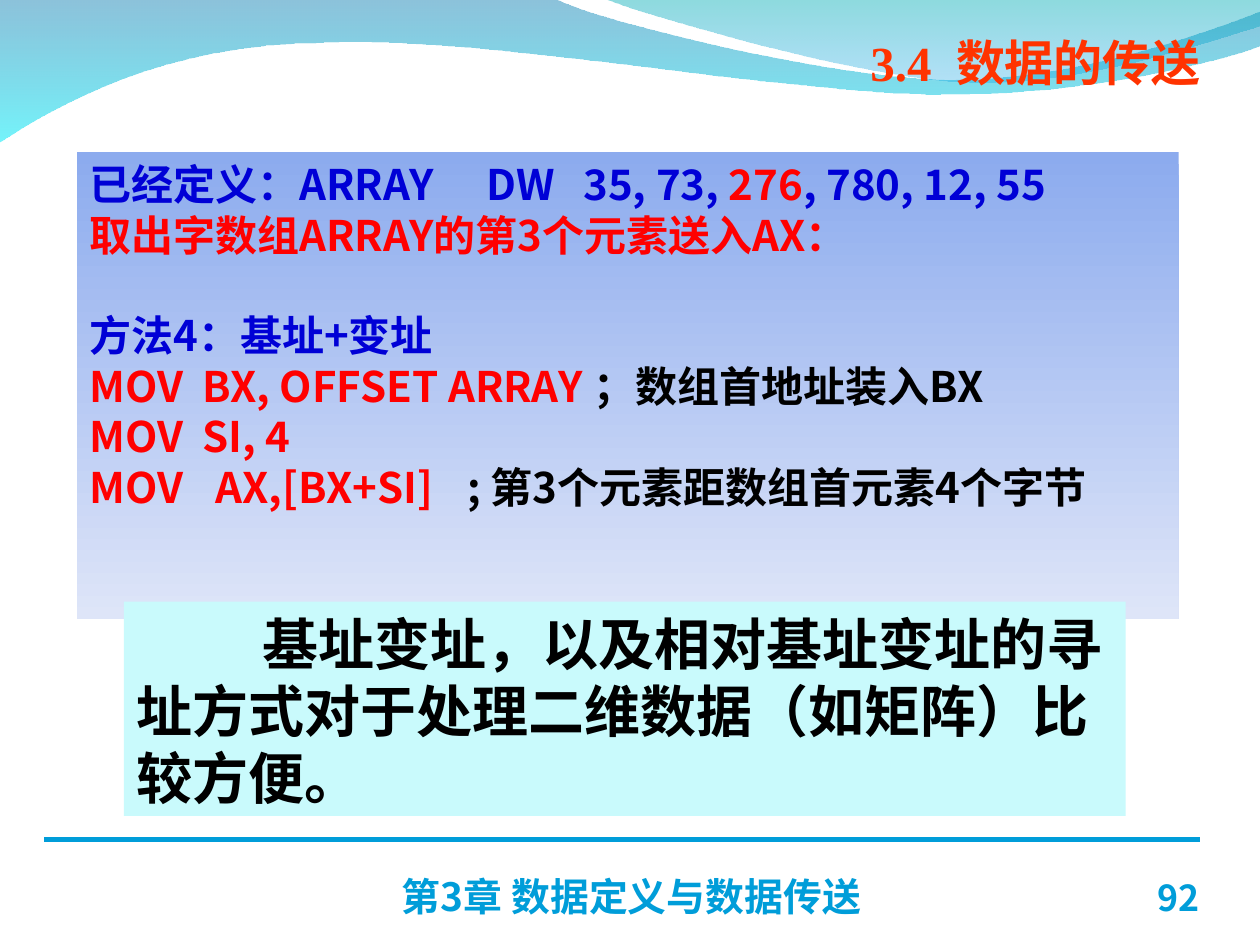
import pptx
import pptx.util
import pptx.dml.color
import pptx.enum.shapes
import pptx.enum.text
import pptx.oxml.ns
import lxml.etree

Pt = pptx.util.Pt
ALIGN = pptx.enum.text.PP_ALIGN
ANCHOR = pptx.enum.text.MSO_ANCHOR
SHAPE = pptx.enum.shapes.MSO_SHAPE
qn = pptx.oxml.ns.qn

COLORS = {
    "blue": "0000D6", "red": "FF0000", "black": "000000",
    "title": "FF3300", "footer": "009DD9", "note": "C9FAFC",
    "panel_top": "8CABEE", "panel_bottom": "DEE5F8",
    "wave_top": "0079AF", "wave_bottom": "00EBF8",
    "crest_top": "00ADB6", "crest_bottom": "009BE5",
}
SANS = "Noto Sans CJK SC"
FOOTER_FONT = "Noto Sans CJK JP"
SERIF = "Times New Roman"
INSETS = (7.2, 3.6, 7.2, 3.6)

WAVE = [
    (0.7, 0), (317.5, 0),
    (343.4, 13, 478.8, 46.1, 546.5, 46.1),
    (614.9, 46.1, 690.5, 19.4, 720.7, 7.2),
    (721.4, 26.6),
    (708.5, 32.4, 627.1, 55.4, 537.8, 54.7),
    (448.6, 54.7, 275.8, 20.9, 185.8, 25.2),
    (93.6, 25.9, 33.8, 60.5, 0, 82.1),
]
CREST = [
    (0, 0),
    (21.6, 8.6, 146.2, 45.4, 208.8, 47.5),
    (271.4, 50.4, 347, 23.8, 375.1, 15.8),
    (375.1, 0.7),
]
CODE_LINES = [
    [("已经定义：ARRAY\t  DW   35, 73, ", "blue"), ("276", "red"),
     (", 780, 12, 55", "blue")],
    [("取出字数组ARRAY的第3个元素送入AX：", "red")],
    [("方法4：基址+变址", "blue")],
    [("MOV  BX, OFFSET ARRAY\t", "red"), ("；数组首地址装入BX", "black")],
    [("MOV  SI, 4", "red")],
    [("MOV\tAX,[BX+SI]\t", "red"), ("; 第3个元素距数组首元素4个字节", "black")],
]
METHOD_LINE = 2
CODE_PITCH = 28.8


def rgb(name):
    return pptx.dml.color.RGBColor.from_string(COLORS[name])


def shade(shape, names, alphas=(100, 100)):
    shape.shadow.inherit = False
    shape.line.fill.background()
    shape.fill.gradient()
    shape.fill.gradient_angle = 270
    for stop, name in zip(shape.fill.gradient_stops, names):
        stop.color.rgb = rgb(name)
    for color, alpha in zip(shape.element.spPr.iter(qn("a:srgbClr")), alphas):
        if alpha < 100:
            lxml.etree.SubElement(color, qn("a:alpha"), val=str(alpha * 1000))


def set_frame(shape, insets=INSETS, anchor=ANCHOR.TOP):
    frame = shape.text_frame
    frame.word_wrap = True
    frame.vertical_anchor = anchor
    frame.margin_left, frame.margin_top, frame.margin_right, frame.margin_bottom = map(Pt, insets)
    return frame


def set_tabs(para):
    tabs = lxml.etree.SubElement(para._p.get_or_add_pPr(), qn("a:tabLst"))
    for inch in range(8):
        lxml.etree.SubElement(tabs, qn("a:tab"), pos=str(Pt(72 * inch)), algn="l")


def set_font(para, size, latin, asian=SANS, color=None):
    font = para.font
    font.size = Pt(size)
    font.bold = True
    font.name = latin
    if color:
        font.color.rgb = rgb(color)
    latin_element = font._element.find(qn("a:latin"))
    latin_element.addnext(latin_element.makeelement(qn("a:ea"), {"typeface": asian}))


def bend_lines(shape, segments):
    lines = iter(list(shape.element.spPr.iter(qn("a:lnTo"))))
    for segment in segments[1:]:
        corners = [next(lines) for _ in range(len(segment) // 2)]
        if len(corners) == 3:
            curve = corners[0].makeelement(qn("a:cubicBezTo"), {})
            corners[0].addprevious(curve)
            for corner in corners:
                curve.append(corner[0])
                corner.getparent().remove(corner)


def add_wave(page, left, top, segments, names, alphas):
    points = [(Pt(left + x), Pt(top + y)) for segment in segments
              for x, y in zip(segment[::2], segment[1::2])]
    builder = page.shapes.build_freeform(*points[0])
    builder.add_line_segments(points[1:], close=False)
    wave = builder.convert_to_shape()
    bend_lines(wave, segments)
    outline = next(wave.element.spPr.iter(qn("a:path")))
    lxml.etree.SubElement(outline, qn("a:close"))
    shade(wave, names, alphas)


def add_label(page, box, text, size, latin, color, asian=SANS,
              insets=INSETS, anchor=ANCHOR.TOP, align=ALIGN.LEFT, spacing=1.0):
    label = page.shapes.add_textbox(*map(Pt, box))
    para = set_frame(label, insets, anchor).paragraphs[0]
    para.text = text
    para.alignment = align
    para.line_spacing = spacing
    set_font(para, size, latin, asian, color)


def add_code_panel(page, box):
    panel = page.shapes.add_shape(SHAPE.RECTANGLE, *map(Pt, box))
    shade(panel, ("panel_top", "panel_bottom"))
    frame = set_frame(panel)
    for index, pieces in enumerate(CODE_LINES):
        para = frame.add_paragraph() if index else frame.paragraphs[0]
        para.alignment = ALIGN.JUSTIFY
        para.line_spacing = Pt(CODE_PITCH)
        if index == METHOD_LINE:
            para.space_before = Pt(CODE_PITCH)
        set_tabs(para)
        set_font(para, 24, SANS)
        for text, color in pieces:
            span = para.add_run()
            span.text = text
            span.font.color.rgb = rgb(color)


def add_note(page, box):
    note = page.shapes.add_shape(SHAPE.RECTANGLE, *map(Pt, box))
    note.shadow.inherit = False
    note.fill.solid()
    note.fill.fore_color.rgb = rgb("note")
    note.line.fill.background()
    para = set_frame(note, (7.2, 4.8, 7.2, 3.6)).paragraphs[0]
    para.text = "\t基址变址，以及相对基址变址的寻址方式对于处理二维数据（如矩阵）比较方便。"
    para.alignment = ALIGN.LEFT
    para.line_spacing = Pt(38.2)
    set_tabs(para)
    set_font(para, 32, SERIF, color="black")


def add_footer(page, left, top, width):
    rule = page.shapes.add_connector(
        pptx.enum.shapes.MSO_CONNECTOR.STRAIGHT,
        Pt(left), Pt(top), Pt(left + width), Pt(top))
    rule.line.color.rgb = rgb("footer")
    rule.line.width = Pt(3)
    lxml.etree.SubElement(rule._element.spPr, qn("a:effectLst"))
    style = dict(latin=FOOTER_FONT, asian=FOOTER_FONT, color="footer",
                 insets=(0, 0, 0, 0), anchor=ANCHOR.BOTTOM, spacing=0.9)
    add_label(page, (left + 204.3, top + 17.1, 323.3, 28.8),
              "第3章 数据定义与数据传送", 22.2, **style)
    add_label(page, (left + 618.3, top + 16.8, 59.8, 28.8),
              "92", 20.4, align=ALIGN.CENTER, **style)


def main():
    deck = pptx.Presentation()
    deck.slide_width, deck.slide_height = Pt(720), Pt(540)
    page = deck.slides.add_slide(deck.slide_layouts[6])
    add_wave(page, -0.7, -0.7, WAVE, ("wave_top", "wave_bottom"), (45, 55))
    add_wave(page, 344.9, -0.7, CREST, ("crest_top", "crest_bottom"), (45, 30))
    add_code_panel(page, (44, 87.1, 629.6, 266.4))
    add_label(page, (490.3, 15.1, 215.3, 41), "3.4  数据的传送", 28, SERIF, "title")
    add_footer(page, 25.4, 479.8, 660.2)
    add_note(page, (70.8, 343.8, 572.4, 122.4))
    deck.save("out.pptx")


if __name__ == "__main__":
    main()
